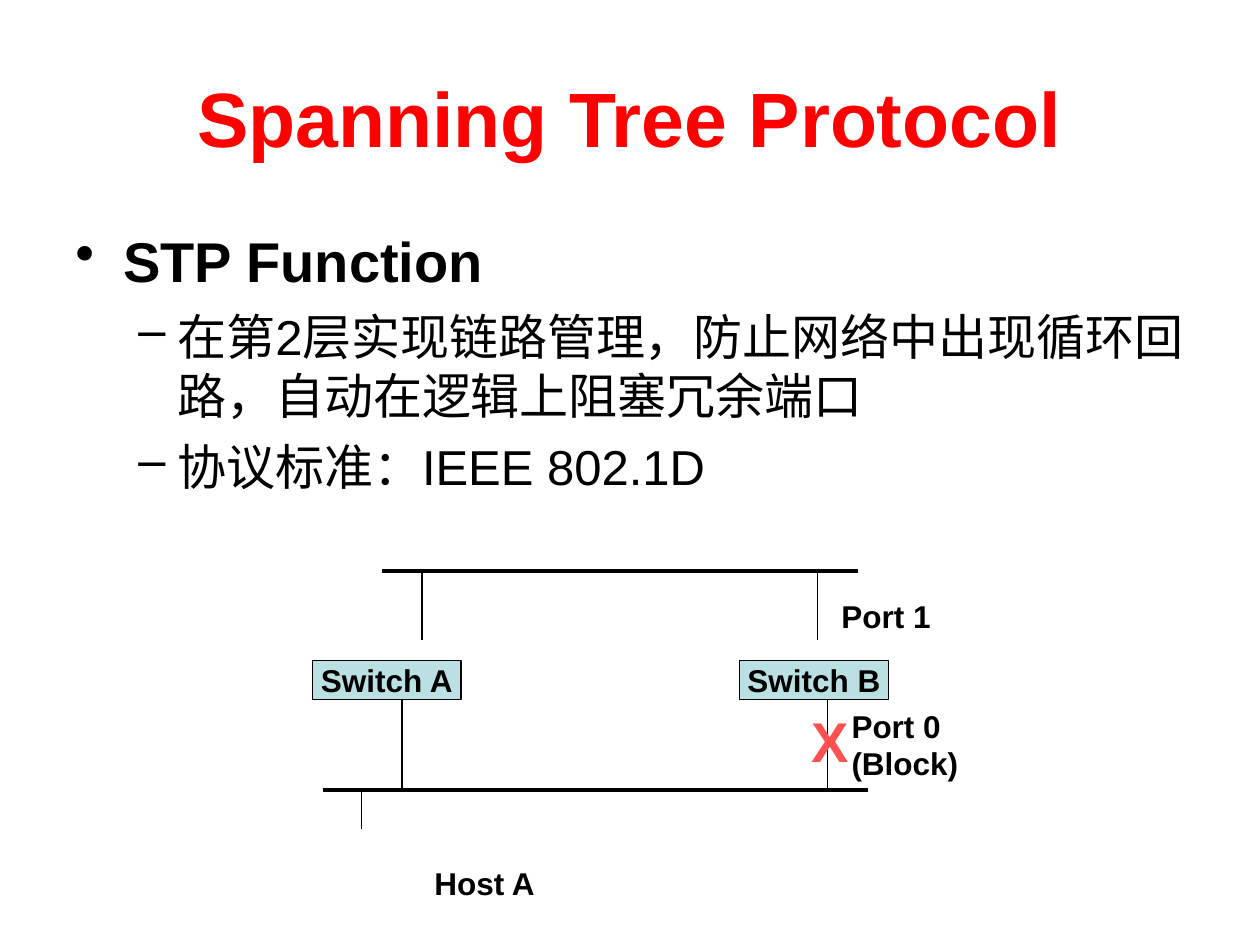
from pptx import Presentation
from pptx.dml.color import RGBColor
from pptx.enum import shapes, text
from pptx.oxml import xmlchemy
from pptx.oxml.ns import qn
from pptx.util import Inches, Pt
from lxml import etree

BLACK = RGBColor(0x00, 0x00, 0x00)
TITLE_RED = RGBColor(0xFF, 0x00, 0x00)
BLOCK_RED = RGBColor(0xFF, 0x50, 0x50)
SWITCH_BLUE = RGBColor(0xBB, 0xE0, 0xE3)
FONT = "Arial"

# Heights shared by the parts of the network diagram
TOP_BUS, PORT_END, SWITCH_TOP, SWITCH_BOTTOM = 4.53, 5.08, 5.24, 5.48
BOTTOM_BUS, HOST_END = 6.27, 6.58


class SlideBuilder:
    def __init__(self, slide):
        self.slide = slide

    def style(self, paragraph, size, color=BLACK, bold=True,
              align=text.PP_ALIGN.LEFT):
        paragraph.alignment = align
        font = paragraph.font
        font.name, font.size, font.bold = FONT, Pt(size), bold
        font.color.rgb = color

    def frame(self, left, top, width, height, wrap=True):
        box = self.slide.shapes.add_textbox(
            Inches(left), Inches(top), Inches(width), Inches(height))
        box.text_frame.word_wrap = wrap
        return box.text_frame

    def title(self, wording):
        frame = self.frame(0.5, 0.3, 9, 1.25)
        frame.vertical_anchor = text.MSO_ANCHOR.MIDDLE
        frame.text = wording
        self.style(frame.paragraphs[0], 44, TITLE_RED,
                   align=text.PP_ALIGN.CENTER)

    def bullet(self, paragraph, mark, indent, hanging):
        properties = paragraph._p.get_or_add_pPr()
        properties.set("marL", str(Inches(indent)))
        properties.set("indent", str(-Inches(hanging)))
        bullet = etree.Element(qn("a:buChar"), char=mark)
        properties.insert_element_before(bullet, "a:tabLst", "a:defRPr")

    def outline(self, heading, points):
        frame = self.frame(0.5, 1.75, 9, 4.95)
        frame.text = "\n".join([heading, *points])
        first, *rest = frame.paragraphs
        self.style(first, 32)
        first.space_before = Pt(8)
        self.bullet(first, "•", 0.38, 0.38)
        for point in rest:
            point.level = 1
            self.style(point, 28, bold=False)
            point.space_before = Pt(7)
            self.bullet(point, "–", 0.81, 0.31)

    def line(self, x1, y1, x2, y2, weight):
        link = self.slide.shapes.add_connector(
            shapes.MSO_CONNECTOR.STRAIGHT,
            Inches(x1), Inches(y1), Inches(x2), Inches(y2))
        link.line.color.rgb = BLACK
        link.line.width = Pt(weight)
        etree.SubElement(link._element.spPr, qn("a:effectLst"))

    def bus(self, left, right, y):
        self.line(left, y, right, y, 2.25)

    def cable(self, x, top, bottom):
        self.line(x, top, x, bottom, 0.75)

    def switch(self, wording, left):
        box = self.slide.shapes.add_shape(
            shapes.MSO_SHAPE.RECTANGLE, Inches(left), Inches(SWITCH_TOP),
            Inches(1.18), Inches(0.31))
        box.shadow.inherit = False
        box.fill.solid()
        box.fill.fore_color.rgb = SWITCH_BLUE
        box.line.color.rgb = BLACK
        box.line.width = Pt(0.75)
        frame = box.text_frame
        frame.word_wrap = False
        frame.vertical_anchor = text.MSO_ANCHOR.MIDDLE
        frame.text = wording
        self.style(frame.paragraphs[0], 18, align=text.PP_ALIGN.CENTER)

    def label(self, wording, left, top, width, height=0.4, size=18,
              color=BLACK):
        frame = self.frame(left, top, width, height, wrap=False)
        frame.auto_size = text.MSO_AUTO_SIZE.SHAPE_TO_FIT_TEXT
        frame.text = wording
        self.style(frame.paragraphs[0], size, color)


def main():
    deck = Presentation()
    deck.slide_width, deck.slide_height = Inches(10), Inches(7.5)
    page = SlideBuilder(deck.slides.add_slide(deck.slide_layouts[6]))

    page.title("Spanning Tree Protocol")
    page.outline("STP Function", [
        "在第2层实现链路管理，防止网络中出现循环回路，自动在逻辑上阻塞冗余端口",
        "协议标准：IEEE 802.1D",
    ])

    page.bus(3.03, 6.81, TOP_BUS)
    page.bus(2.56, 6.89, BOTTOM_BUS)
    for x in (3.35, 6.49):
        page.cable(x, TOP_BUS, PORT_END)
    for x in (3.19, 6.57):
        page.cable(x, SWITCH_BOTTOM, BOTTOM_BUS)
    page.cable(2.87, BOTTOM_BUS, HOST_END)

    page.switch("Switch B", 5.87)
    page.switch("Switch A", 2.48)

    page.label("Host A", 3.35, 6.81, 1)
    page.label("Port 0 (Block)", 6.66, 5.56, 1.82)
    page.label("Port 1", 6.58, 4.69, 0.91)
    page.label("X", 6.34, 5.56, 0.49, 0.64, size=32, color=BLOCK_RED)

    deck.save("out.pptx")


if __name__ == "__main__":
    main()
